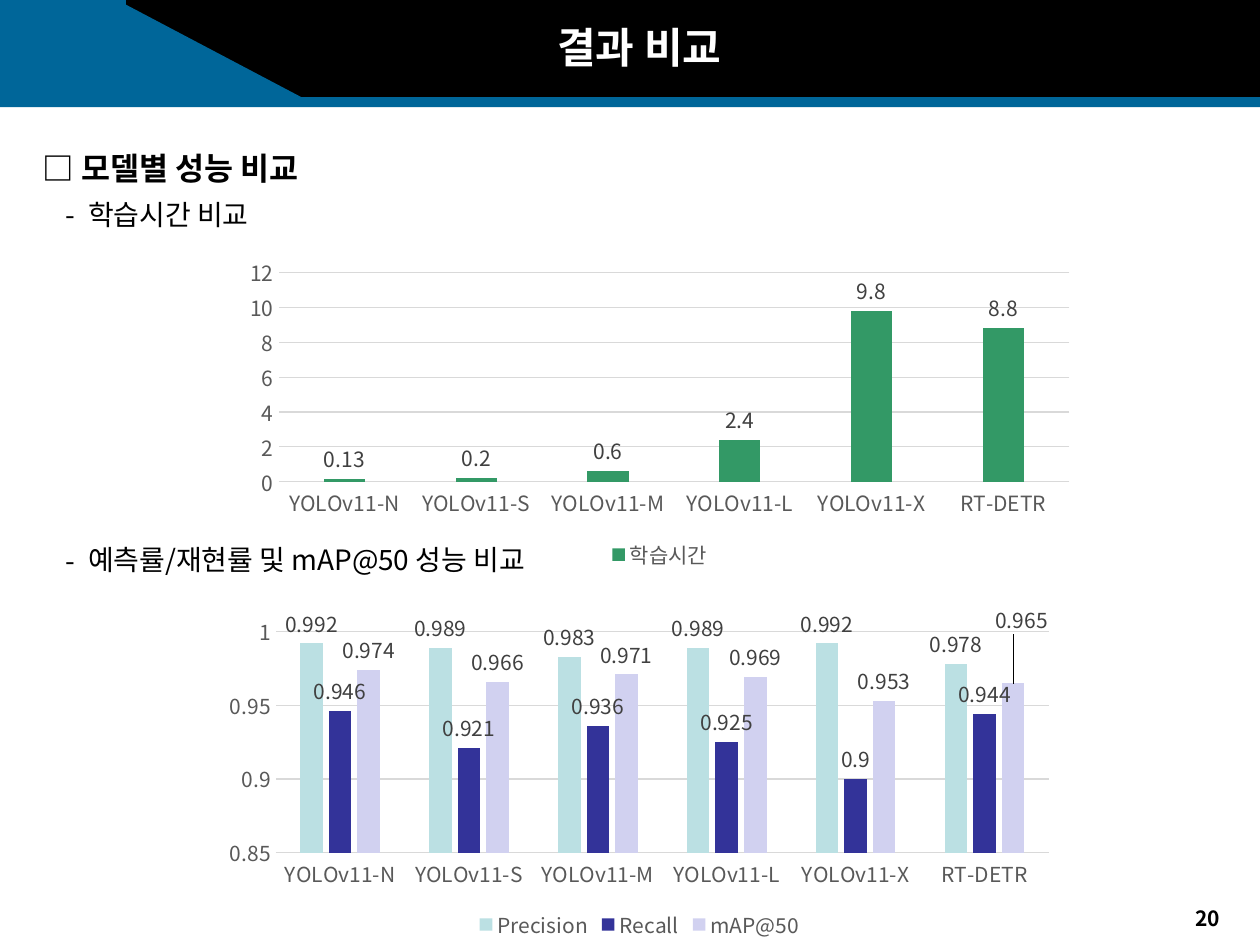
from lxml.etree import SubElement
from pptx import Presentation
from pptx.chart.data import CategoryChartData
from pptx.dml.color import RGBColor
from pptx.enum.chart import XL_CHART_TYPE, XL_LABEL_POSITION, XL_LEGEND_POSITION, XL_TICK_MARK
from pptx.enum.shapes import MSO_SHAPE
from pptx.enum.text import PP_ALIGN
from pptx.oxml import parse_xml
from pptx.oxml.ns import nsdecls, qn
from pptx.util import Cm, Pt

BLACK = RGBColor(0x00, 0x00, 0x00)
WHITE = RGBColor(0xFF, 0xFF, 0xFF)
BLUE = RGBColor(0x00, 0x66, 0x99)
GREEN = RGBColor(0x33, 0x99, 0x66)
AQUA = RGBColor(0xBB, 0xE0, 0xE3)
NAVY = RGBColor(0x33, 0x33, 0x99)
LILAC = RGBColor(0xD1, 0xD1, 0xF0)
GRID = RGBColor(0xD9, 0xD9, 0xD9)
AXIS_TEXT = RGBColor(0x59, 0x59, 0x59)
LABEL_TEXT = RGBColor(0x40, 0x40, 0x40)

MODELS = ["YOLOv11-N", "YOLOv11-S", "YOLOv11-M", "YOLOv11-L", "YOLOv11-X", "RT-DETR"]
TRAINING_TIME = [("학습시간", [0.13, 0.2, 0.6, 2.4, 9.8, 8.8], GREEN)]
ACCURACY = [
    ("Precision", [0.992, 0.989, 0.983, 0.989, 0.992, 0.978], AQUA),
    ("Recall", [0.946, 0.921, 0.936, 0.925, 0.9, 0.944], NAVY),
    ("mAP@50", [0.974, 0.966, 0.971, 0.969, 0.953, 0.965], LILAC),
]


class SlideBuilder:
    font_name = "Noto Sans CJK KR"

    def __init__(self, slide):
        self.s = slide

    def style_font(self, font, size, color, bold=False):
        font.name = self.font_name
        font.size = Pt(size)
        font.bold = bold
        font.color.rgb = color

    def style_paragraph(self, p, size, color, bold):
        for r in p.runs:
            self.style_font(r.font, size, color, bold)
            SubElement(r.font._element, qn("a:ea"), typeface=self.font_name)

    def shape(self, kind, left, top, width, height, color):
        sp = self.s.shapes.add_shape(kind, Cm(left), Cm(top), Cm(width), Cm(height))
        sp.shadow.inherit = False
        sp.fill.solid()
        sp.fill.fore_color.rgb = color
        sp.line.fill.background()

    def text_box(self, left, top, width, height):
        tf = self.s.shapes.add_textbox(Cm(left), Cm(top), Cm(width), Cm(height)).text_frame
        tf.word_wrap = True
        return tf

    def label(self, text, left, top, width, height, size, color):
        p = self.text_box(left, top, width, height).paragraphs[0]
        p.text = text
        p.alignment = PP_ALIGN.CENTER
        self.style_paragraph(p, size, color, True)

    def outline(self, heading, items, left, top, width, height):
        tf = self.text_box(left, top, width, height)
        tf.margin_top = Cm(0.38)
        p = tf.paragraphs[0]
        p.text = heading
        p.alignment = PP_ALIGN.JUSTIFY
        self.style_paragraph(p, 18, BLACK, True)
        for text, gap in items:
            p = tf.add_paragraph()
            p.text = text
            p.alignment = PP_ALIGN.JUSTIFY
            p.space_before = Pt(gap)
            pPr = p._p.get_or_add_pPr()
            pPr.set("marL", str(Cm(0.92)))
            pPr.set("indent", str(-Cm(0.46)))
            SubElement(pPr, qn("a:buFont"), typeface=self.font_name)
            SubElement(pPr, qn("a:buChar"), char="-")
            self.style_paragraph(p, 16, BLACK, False)

    def column_chart(self, series, left, top, width, height):
        data = CategoryChartData()
        data.categories = MODELS
        for name, values, _ in series:
            data.add_series(name, values)
        chart = self.s.shapes.add_chart(
            XL_CHART_TYPE.COLUMN_CLUSTERED, Cm(left), Cm(top), Cm(width), Cm(height), data
        ).chart
        self.style_font(chart.font, 10, BLACK)
        chart.has_title = False
        chart.has_legend = True
        chart.legend.position = XL_LEGEND_POSITION.BOTTOM
        chart.legend.include_in_layout = False
        self.style_font(chart.legend.font, 12, AXIS_TEXT)
        for axis in (chart.category_axis, chart.value_axis):
            axis.major_tick_mark = XL_TICK_MARK.NONE
            axis.minor_tick_mark = XL_TICK_MARK.NONE
            self.style_font(axis.tick_labels.font, 12, AXIS_TEXT)
        grid_line = chart.value_axis.major_gridlines.format.line
        for line in (chart.category_axis.format.line, grid_line):
            line.color.rgb = GRID
            line.width = Pt(0.75)
        chart.value_axis.format.line.fill.background()
        plot = chart.plots[0]
        plot.vary_by_categories = False
        plot.gap_width = 219
        plot.overlap = -27
        for ser, (_, _, color) in zip(plot.series, series):
            ser.format.fill.solid()
            ser.format.fill.fore_color.rgb = color
            labels = ser.data_labels
            labels.show_value = True
            labels.position = XL_LABEL_POSITION.OUTSIDE_END
            self.style_font(labels.font, 12, LABEL_TEXT)
        return chart

    def shift_label(self, ser, index, dx, dy):
        label = ser.points[index].data_label
        self.style_font(label.font, 12, LABEL_TEXT)
        label.position = XL_LABEL_POSITION.OUTSIDE_END
        dLbl = ser._element.xpath(f".//c:dLbl[c:idx/@val='{index}']")[0]
        dLbl.insert(1, parse_xml(
            f'<c:layout {nsdecls("c")}><c:manualLayout>'
            f'<c:x val="{dx}"/><c:y val="{dy}"/></c:manualLayout></c:layout>'
        ))


def main():
    prs = Presentation()
    prs.slide_width, prs.slide_height = Cm(25.4), Cm(19.05)
    b = SlideBuilder(prs.slides.add_slide(prs.slide_layouts[6]))

    b.label("20", 23.65, 18.14, 1.4, 0.76, 12, BLACK)
    b.shape(MSO_SHAPE.RECTANGLE, 2.36, 0, 23.04, 2.13, BLACK)
    b.shape(MSO_SHAPE.RIGHT_TRIANGLE, 2.36, 0, 4.04, 2.13, BLUE)
    b.shape(MSO_SHAPE.RECTANGLE, 0, 0, 2.54, 2.13, BLUE)
    b.shape(MSO_SHAPE.RECTANGLE, 0, 1.96, 25.4, 0.2, BLUE)
    b.label("결과 비교", 5.89, 0.3, 14, 1.27, 24, WHITE)

    items = [("학습시간 비교", 6), ("예측률/재현률 및 mAP@50 성능 비교", 178)]
    b.outline("□ 모델별 성능 비교", items, 0.61, 2.62, 24.61, 11.79)

    accuracy = b.column_chart(ACCURACY, 4.29, 12.17, 17.2, 6.88)
    axis = accuracy.value_axis
    axis.minimum_scale, axis.maximum_scale, axis.major_unit = 0.85, 1, 0.05
    b.shift_label(accuracy.plots[0].series[2], 5, 0.01, -0.13)

    b.column_chart(TRAINING_TIME, 4.7, 5.05, 17.2, 6.55)
    prs.save("out.pptx")


if __name__ == "__main__":
    main()
